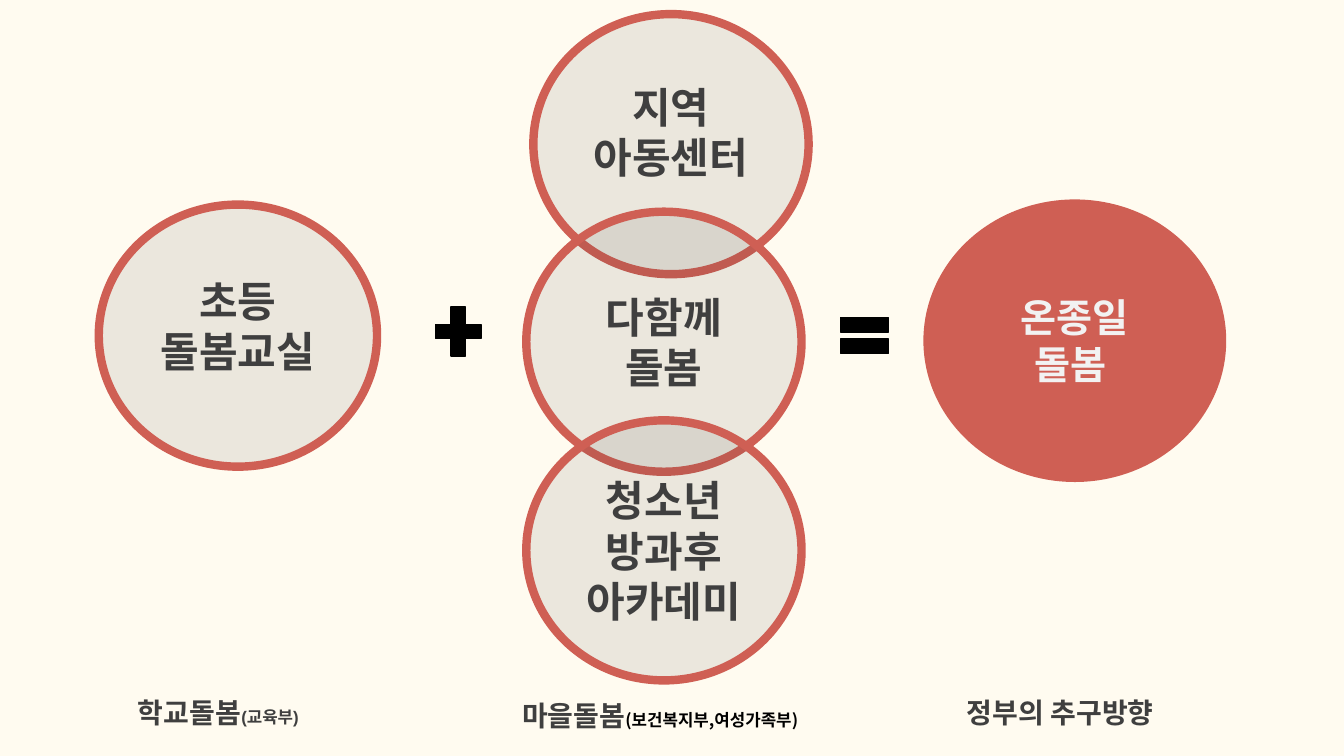
from dataclasses import dataclass

from lxml.etree import SubElement
from pptx import Presentation
from pptx.dml.color import RGBColor
from pptx.enum.shapes import MSO_SHAPE as Shape
from pptx.enum.text import MSO_ANCHOR as Anchor, PP_ALIGN as Align
from pptx.oxml.ns import qn
from pptx.util import Emu, Pt


@dataclass(frozen=True)
class Theme:
    """Colours, fonts and sizes of the slide."""
    background: str = "FFFBF0"
    accent: str = "CF5F54"
    dark: str = "3F3F3F"
    light: str = "F2F2F2"
    black: str = "000000"
    latin: str = "Arial"
    korean: str = "Noto Sans CJK KR"
    circle_size: int = 30
    result_size: int = 28
    caption_size: int = 20
    note_size: int = 12
    ring: int = 6
    veil: int = 10


THEME = Theme()
SCALE = 9144


def px(length):
    """Turn px, a hundredth of an inch each, into EMU."""
    return Emu(length * SCALE)


def paint(fill, color, opacity=100):
    """Give a solid fill, with an opacity in percent."""
    fill.solid()
    fill.fore_color.rgb = RGBColor.from_string(color)
    if opacity < 100:
        color_element = fill._xPr.find(qn("a:solidFill"))[0]
        SubElement(color_element, qn("a:alpha"), val=str(opacity * 1000))


def add_run(paragraph, text, size, color, latin=THEME.latin):
    """Add one bold run."""
    run = paragraph.add_run()
    run.text = text
    font = run.font
    font.size, font.bold, font.name = Pt(size), True, latin
    font.color.rgb = RGBColor.from_string(color)
    SubElement(font._element, qn("a:ea"), typeface=THEME.korean)


def add_figure(slide, kind, box, color, line_color, line_width, opacity=100):
    """Add a preset shape with a fill and an outline."""
    shape = slide.shapes.add_shape(kind, *map(px, box))
    shape.shadow.inherit = False
    paint(shape.fill, color, opacity)
    paint(shape.line.fill, line_color)
    shape.line.width = Pt(line_width)
    return shape


def add_circle(slide, box, lines, lift=0, result=False):
    """Add a ringed circle whose text is raised by a lower inset."""
    color, opacity = (THEME.accent, 100) if result else (THEME.dark, THEME.veil)
    shape = add_figure(slide, Shape.OVAL, box, color, THEME.accent, THEME.ring, opacity)
    frame = shape.text_frame
    frame.word_wrap = True
    frame.vertical_anchor = Anchor.MIDDLE
    frame.margin_bottom = px(5 + lift)
    size, ink = (THEME.result_size, THEME.light) if result else (THEME.circle_size, THEME.dark)
    for index, line in enumerate(lines):
        paragraph = frame.add_paragraph() if index else frame.paragraphs[0]
        paragraph.alignment = Align.CENTER
        add_run(paragraph, line, size, ink)


def add_operator(slide, kind, box, adjustments):
    """Add a black mathematical sign."""
    shape = add_figure(slide, kind, box, THEME.black, THEME.black, 1)
    for index, value in enumerate(adjustments):
        shape.adjustments[index] = value


def add_caption(slide, box, title, note="", note_color=THEME.dark, note_font=THEME.latin):
    """Add a caption with an optional small note."""
    frame = slide.shapes.add_textbox(*map(px, box)).text_frame
    frame.word_wrap = True
    paragraph = frame.paragraphs[0]
    add_run(paragraph, title, THEME.caption_size, THEME.dark)
    if note:
        add_run(paragraph, note, THEME.note_size, note_color, note_font)


def main():
    """Build the care equation slide."""
    presentation = Presentation()
    presentation.slide_width, presentation.slide_height = px(1333), px(750)
    slide = presentation.slides.add_slide(presentation.slide_layouts[6])
    paint(slide.background.fill, THEME.background)

    add_circle(slide, (98, 203, 276, 260), ["초등", "돌봄교실"], lift=19)
    add_circle(slide, (920, 202, 292, 272), ["온종일 돌봄 "], result=True)
    for left, top, lines, lift in (
        (529, 14, ["지역", "아동센터"], 24),
        (522, 210, ["다함께", "돌봄"], 0),
        (522, 417, ["청소년", "방과후", "아카데미"], 0),
    ):
        add_circle(slide, (left, top, 273, 258), lines, lift)

    add_operator(slide, Shape.MATH_PLUS, (424, 296, 61, 66), [0.235])
    add_operator(slide, Shape.MATH_EQUAL, (825, 303, 65, 60), [0.235, 0.118])

    add_caption(slide, (127, 685, 198, 44), "학교돌봄", "(교육부)")
    add_caption(slide, (508, 688, 317, 37), "마을돌봄", "(보건복지부,여성가족부)",
                THEME.black, THEME.korean)
    add_caption(slide, (949, 685, 233, 44), "정부의 추구방향")
    presentation.save("out.pptx")


if __name__ == "__main__":
    main()
